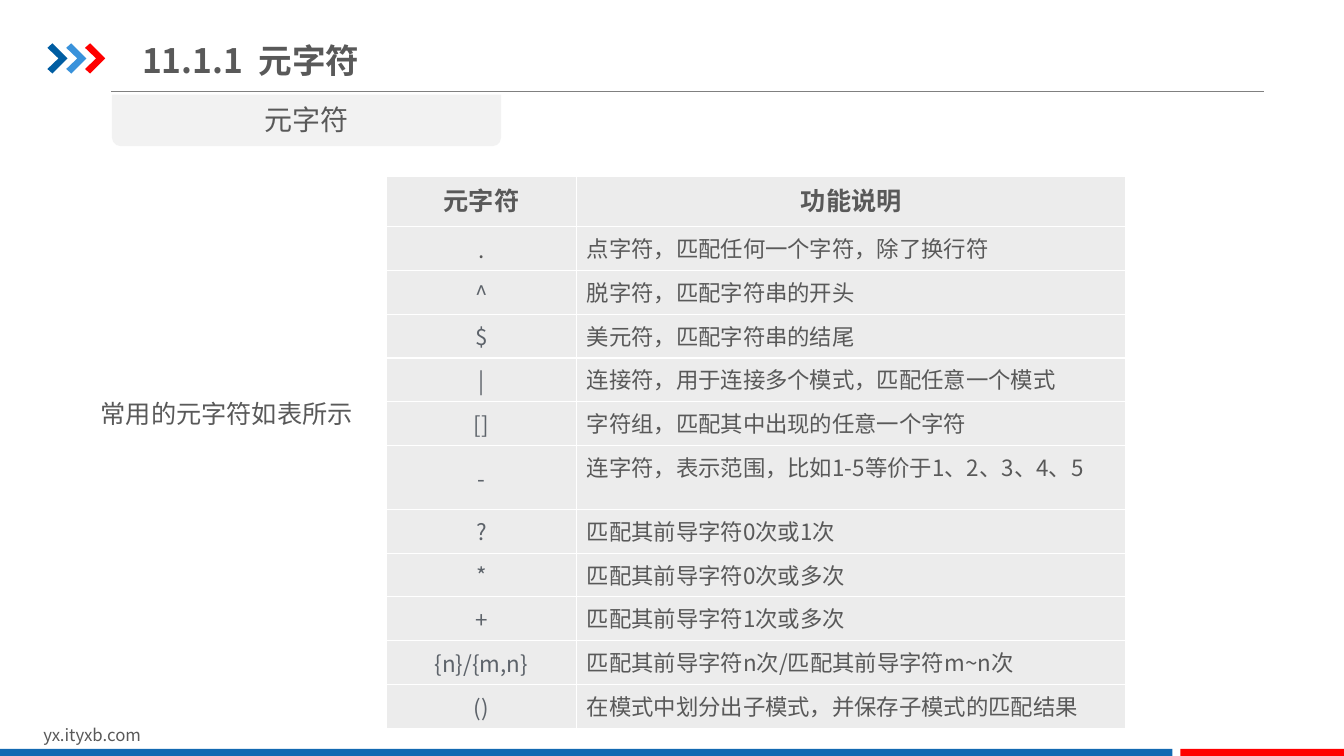
from lxml import etree
from pptx import Presentation
from pptx.dml.color import RGBColor
from pptx.enum.shapes import MSO_CONNECTOR, MSO_SHAPE
from pptx.enum.text import MSO_ANCHOR, MSO_AUTO_SIZE, PP_ALIGN
from pptx.oxml.ns import qn
from pptx.util import Inches, Pt

RECTANGLE = MSO_SHAPE.RECTANGLE
TAB_SHAPE = MSO_SHAPE.ROUND_2_SAME_RECTANGLE
STRAIGHT = MSO_CONNECTOR.STRAIGHT
LEFT, CENTER = PP_ALIGN.LEFT, PP_ALIGN.CENTER
TOP, MIDDLE = MSO_ANCHOR.TOP, MSO_ANCHOR.MIDDLE
NO_AUTOFIT = MSO_AUTO_SIZE.NONE

FONT = "Noto Sans CJK SC"
TEXT = RGBColor(0x59, 0x59, 0x59)
SYMBOL = RGBColor(0x5D, 0x63, 0x6A)
RULE = RGBColor(0x80, 0x80, 0x80)
WHITE = RGBColor(0xFF, 0xFF, 0xFF)
CELL = RGBColor(0xEC, 0xEC, 0xEC)
TAB = RGBColor(0xF2, 0xF2, 0xF2)
BAR_BLUE = RGBColor(0x13, 0x69, 0xB2)
NAVY = RGBColor(0x00, 0x5D, 0xA2)
SKY = RGBColor(0x39, 0x92, 0xDB)
RED = RGBColor(0xFF, 0x00, 0x00)

SLIDE_WIDTH, SLIDE_HEIGHT = Inches(13.33), Inches(7.5)

# Chevron outline as shares of its own box
CHEVRON = [(0, 0.15), (0.25, 0), (1, 0.5), (0.25, 1), (0, 0.85), (0.55, 0.5)]

HEADER = ("元字符", "功能说明")
METACHARACTERS = [
    (".", "点字符，匹配任何一个字符，除了换行符"),
    ("^", "脱字符，匹配字符串的开头"),
    ("$", "美元符，匹配字符串的结尾"),
    ("|", "连接符，用于连接多个模式，匹配任意一个模式"),
    ("[]", "字符组，匹配其中出现的任意一个字符"),
    ("-", "连字符，表示范围，比如1-5等价于1、2、3、4、5"),
    ("?", "匹配其前导字符0次或1次"),
    ("*", "匹配其前导字符0次或多次"),
    ("+", "匹配其前导字符1次或多次"),
    ("{n}/{m,n}", "匹配其前导字符n次/匹配其前导字符m~n次"),
    ("()", "在模式中划分出子模式，并保存子模式的匹配结果"),
]


def across(percent):
    return round(SLIDE_WIDTH * percent / 100)


def down(percent):
    return round(SLIDE_HEIGHT * percent / 100)


def box(left, top, width, height):
    """Turn shares of the slide, in percent, into lengths."""
    return across(left), down(top), across(width), down(height)


def write(text_frame, text, size, color=TEXT, bold=False, align=LEFT):
    paragraph = text_frame.paragraphs[0]
    paragraph.alignment = align
    run = paragraph.add_run()
    run.text = text
    run.font.name, run.font.size, run.font.bold = FONT, Pt(size), bold
    run.font.color.rgb = color
    east_asian = etree.SubElement(run.font._element, qn("a:ea"))
    east_asian.set("typeface", FONT)
    return paragraph


def add_text(slide, area, text, size, align=LEFT):
    text_frame = slide.shapes.add_textbox(*area).text_frame
    text_frame.word_wrap = True
    return write(text_frame, text, size, align=align)


def paint(shape, color):
    shape.shadow.inherit = False
    shape.fill.solid()
    shape.fill.fore_color.rgb = color
    shape.line.fill.background()


def add_block(slide, kind, area, color):
    shape = slide.shapes.add_shape(kind, *area)
    paint(shape, color)
    return shape


def add_chevron(slide, area, color):
    left, top, width, height = area
    points = [(left + x * width, top + y * height) for x, y in CHEVRON]
    builder = slide.shapes.build_freeform(*points[0])
    builder.add_line_segments(points[1:], close=True)
    paint(builder.convert_to_shape(), color)


def add_rule(slide, left, right, top):
    line = slide.shapes.add_connector(
        STRAIGHT, across(left), down(top), across(right), down(top))
    line.line.color.rgb = RULE
    line.line.width = Pt(0.75)
    etree.SubElement(line._element.spPr, qn("a:effectLst"))


def add_borders(cell):
    properties = cell._tc.get_or_add_tcPr()
    for index, side in enumerate(("lnL", "lnR", "lnT", "lnB")):
        border = etree.Element(qn("a:" + side), w=str(Pt(1)))
        fill = etree.SubElement(border, qn("a:solidFill"))
        etree.SubElement(fill, qn("a:srgbClr"), val=str(WHITE))
        properties.insert(index, border)


def fill_cell(cell, text, size, color, bold, align, anchor):
    cell.fill.solid()
    cell.fill.fore_color.rgb = CELL
    cell.vertical_anchor = anchor
    add_borders(cell)
    write(cell.text_frame, text, size, color, bold, align)


def add_metacharacter_table(slide, area):
    row_count = len(METACHARACTERS) + 1
    table = slide.shapes.add_table(row_count, 2, *area).table
    for column, share in zip(table.columns, (14.18, 40.87)):
        column.width = across(share)
    header_height = down(6.7)
    body_height = round((area[3] - header_height) / len(METACHARACTERS))
    for index, row in enumerate(table.rows):
        row.height = body_height if index else header_height

    for cell, text in zip(table.rows[0].cells, HEADER):
        fill_cell(cell, text, 18, TEXT, True, CENTER, TOP)
    for index, (symbol, meaning) in enumerate(METACHARACTERS, start=1):
        symbol_cell, meaning_cell = table.rows[index].cells
        color = TEXT if index == 1 else SYMBOL
        fill_cell(symbol_cell, symbol, 16, color, False, CENTER, MIDDLE)
        if index > 1:
            symbol_cell.margin_left = symbol_cell.margin_right = Inches(0.07)
            symbol_cell.margin_top = symbol_cell.margin_bottom = 0
        fill_cell(meaning_cell, meaning, 16, TEXT, False, LEFT, TOP)


def set_title(slide, area, text):
    title = slide.shapes.title
    title.left, title.top, title.width, title.height = area
    title.text_frame.word_wrap = True
    title.text_frame.auto_size = NO_AUTOFIT
    title.text_frame.vertical_anchor = MIDDLE
    write(title.text_frame, text, 24, bold=True)


def main():
    presentation = Presentation()
    presentation.slide_width = SLIDE_WIDTH
    presentation.slide_height = SLIDE_HEIGHT
    slide = presentation.slides.add_slide(presentation.slide_layouts[5])

    # Heading
    add_rule(slide, 8.25, 94.05, 12.13)
    for index, color in enumerate((NAVY, SKY, RED)):
        add_chevron(slide, box(3.53 + 1.4 * index, 5.73, 1.5, 4), color)
    set_title(slide, box(9.83, 3.87, 40.58, 8.13), "11.1.1  元字符")

    # Footer
    add_text(slide, box(2.48, 95.2, 23.85, 4), "yx.ityxb.com", 12)
    add_block(slide, RECTANGLE, box(0, 99.07, 87.23, 0.93), BAR_BLUE)
    add_block(slide, RECTANGLE, box(87.83, 99.07, 12.17, 0.93), RED)

    # Section tab
    tab = add_block(slide, TAB_SHAPE, box(8.33, 12.53, 28.95, 6.8), TAB)
    tab.rotation = 180
    add_text(slide, box(8.33, 12.93, 28.95, 5.87), "元字符", 20, CENTER)

    # Introduction and table
    introduction = add_text(
        slide, box(6.75, 50, 20.48, 12), "常用的元字符如表所示", 18)
    introduction.line_spacing = 1.5
    add_metacharacter_table(slide, box(28.73, 23.28, 55.05, 70.4))

    presentation.save("out.pptx")


if __name__ == "__main__":
    main()
